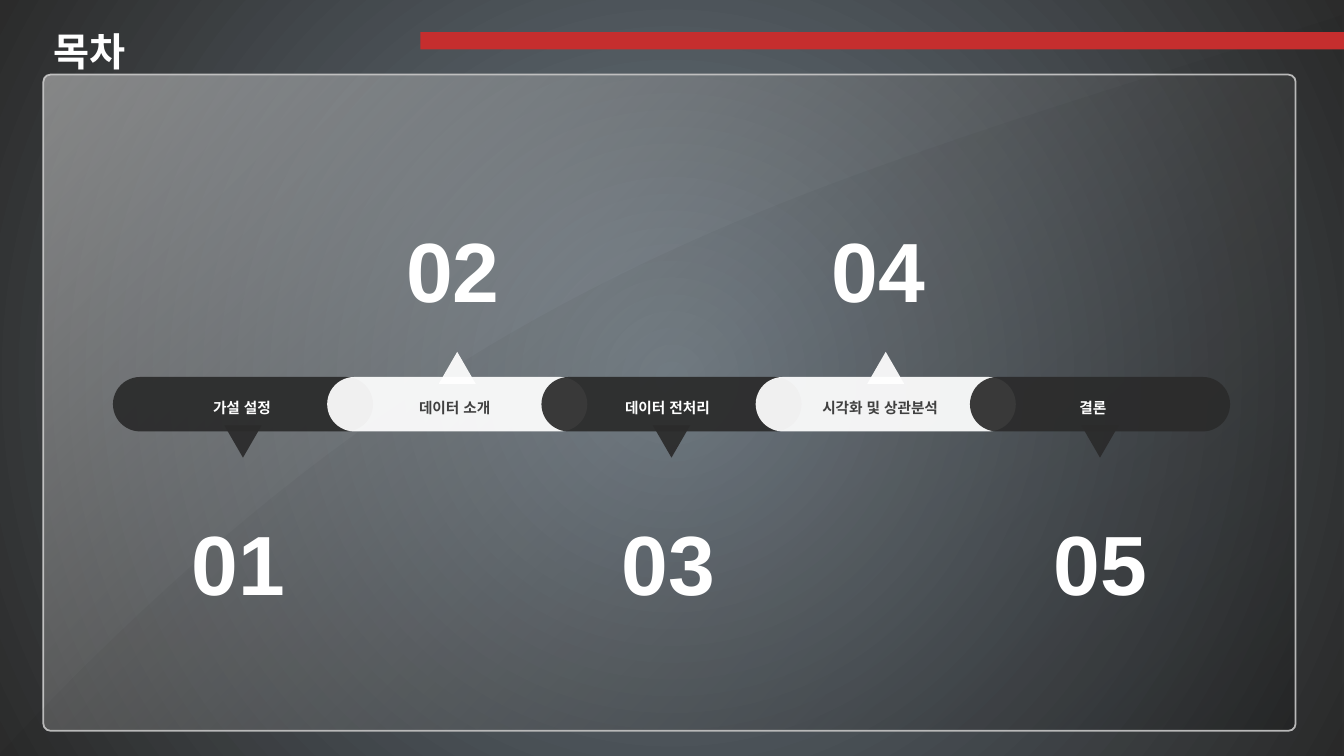
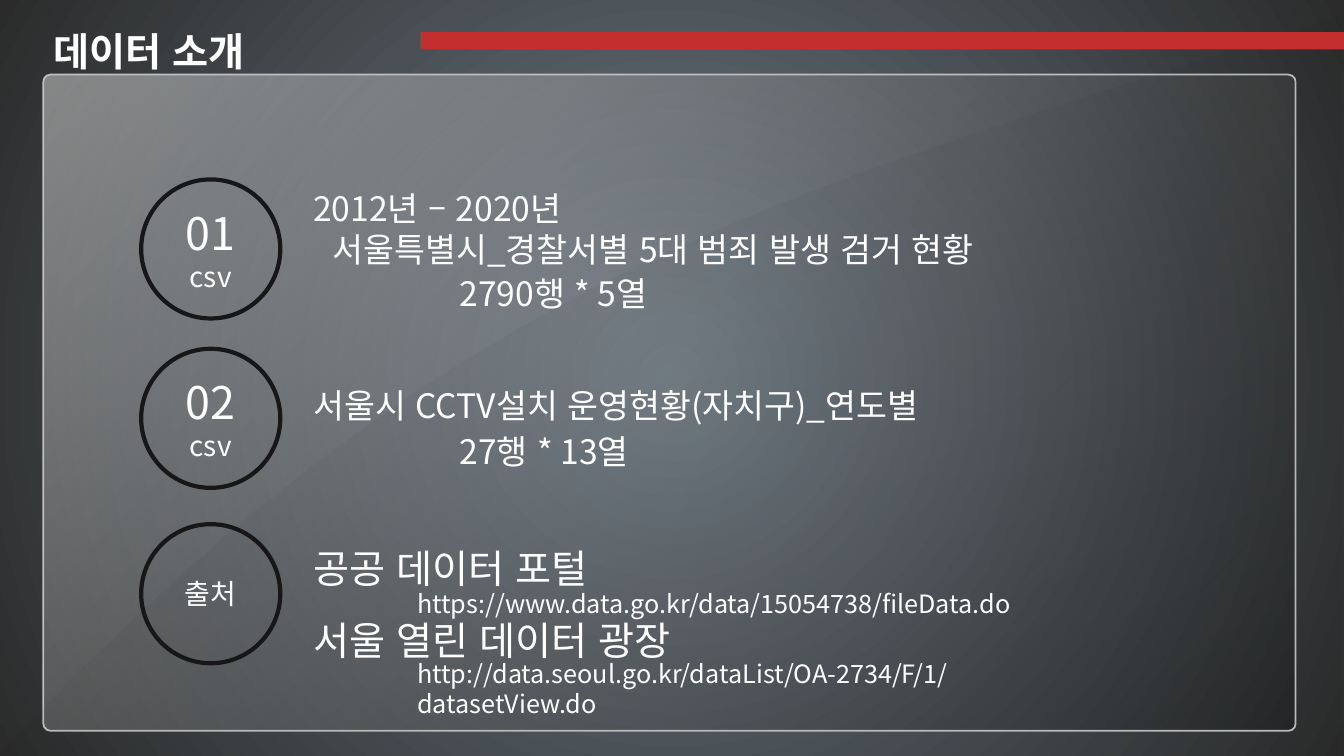
"""Build the contents slide and the data introduction slide."""
from lxml.etree import SubElement
from pptx import Presentation
from pptx.dml.color import RGBColor
from pptx.enum.lang import MSO_LANGUAGE_ID as Lang
from pptx.enum.shapes import MSO_SHAPE as Shape
from pptx.enum.text import MSO_ANCHOR as Anchor, MSO_AUTO_SIZE as AutoSize, PP_ALIGN as Align
from pptx.oxml.ns import qn
from pptx.util import Inches, Pt

WHITE = RGBColor(0xFF, 0xFF, 0xFF)
BLACK = RGBColor(0, 0, 0)
CHARCOAL = RGBColor(0x2B, 0x2B, 0x2B)
STEEL = RGBColor(0x6E, 0x7C, 0x87)
SILVER = RGBColor(0xBF, 0xBF, 0xBF)
GRAPHITE = RGBColor(0x40, 0x40, 0x40)
INK = RGBColor(0x18, 0x17, 0x17)
RED = RGBColor(0xC5, 0x2E, 0x2E)
KOREAN, LATIN = "Noto Sans CJK KR", "Arial"
WIDTH, HEIGHT = 13.33, 7.5

CONTENTS_TITLE = "목차"
STEPS = [
    ("01", "가설 설정", 1.8),
    ("02", "데이터 소개", 3.93),
    ("03", "데이터 전처리", 6.07),
    ("04", "시각화 및 상관분석", 8.15),
    ("05", "결론", 10.35),
]
DATA_TITLE = "데이터 소개"
BADGES = [
    (1.78, [("01", 32), ("csv", 20)]),
    (3.46, [("02", 32), ("csv", 20)]),
    (5.2, [("출처", 20)]),
]
NAME_LEFT, SIZE_LEFT, LINK_LEFT = 3.01, 4.46, 4.04
DETAILS = [
    (NAME_LEFT, 1.82, 9.46, 24, [("2012년 – 2020년", 0), ("서울특별시_경찰서별 5대 범죄 발생 검거 현황", 0.19)]),
    (SIZE_LEFT, 2.66, 2.79, 24, [("2790행 * 5열", 0)]),
    (NAME_LEFT, 3.77, 9.71, 24, [("서울시 CCTV설치 운영현황(자치구)_연도별", 0)]),
    (SIZE_LEFT, 4.23, 2.79, 24, [("27행 * 13열", 0)]),
    (NAME_LEFT, 5.35, 3.47, 28, [("공공 데이터 포털", 0)]),
    (LINK_LEFT, 5.79, 7.05, 18, [("https://www.data.go.kr/data/15054738/fileData.do", 0)]),
    (NAME_LEFT, 6.06, 4.55, 28, [("서울 열린 데이터 광장", 0)]),
    (LINK_LEFT, 6.48, 7.05, 18, [("http://data.seoul.go.kr/dataList/OA-2734/F/1/datasetView.do", 0)]),
]


def inches(*lengths):
    return [Inches(length) for length in lengths]


def write(paragraph, text, size, color=WHITE, face=KOREAN, bold=False, spacing=None, align=Align.LEFT):
    paragraph.alignment = align
    if spacing:
        paragraph.line_spacing = spacing
    run = paragraph.add_run()
    run.text = text
    font = run.font
    font.size, font.bold, font.name = Pt(size), bold, face
    font.color.rgb = color
    font.language_id = Lang.KOREAN
    SubElement(font._element, qn("a:ea")).set("typeface", face)


def lines_of(frame, count):
    return [frame.paragraphs[0]] + [frame.add_paragraph() for _ in range(count - 1)]


def text_frame(slide, left, top, width, height, wrap=True):
    frame = slide.shapes.add_textbox(*inches(left, top, width, height)).text_frame
    frame.word_wrap = wrap
    frame.auto_size = AutoSize.SHAPE_TO_FIT_TEXT
    return frame


def set_alpha(shape, *percents):
    for color, percent in zip(shape._element.spPr.iter(qn("a:srgbClr")), percents):
        SubElement(color, qn("a:alpha")).set("val", str(percent * 1000))


def paint(shape, color, alpha=100):
    shape.shadow.inherit = False
    shape.fill.solid()
    shape.fill.fore_color.rgb = color
    if alpha < 100:
        set_alpha(shape, alpha)
    shape.line.fill.background()


def blend(fill, first, last):
    fill.gradient()
    for stop, color in zip(fill.gradient_stops, (first, last)):
        stop.color.rgb = color


def set_background(master):
    blend(master.background.fill, STEEL, CHARCOAL)
    gradient = master._element.find(".//" + qn("a:gradFill"))
    gradient.remove(gradient.find(qn("a:lin")))
    circle = SubElement(gradient, qn("a:path"))
    circle.set("path", "circle")
    center = SubElement(circle, qn("a:fillToRect"))
    for side in "ltrb":
        center.set(side, "50000")


def curve(points, count=48):
    for step in range(count + 1):
        t = step / count
        weights = ((1 - t) ** 3, 3 * t * (1 - t) ** 2, 3 * t ** 2 * (1 - t), t ** 3)
        yield tuple(Inches(sum(w * p[axis] for w, p in zip(weights, points))) for axis in (0, 1))


def framed_slide(prs, heading):
    slide = prs.slides.add_slide(prs.slide_layouts[5])
    title = slide.shapes.title
    title.left, title.top, title.width, title.height = inches(0.43, -0.01, 8.8, 0.72)
    frame = title.text_frame
    frame.vertical_anchor = Anchor.TOP
    frame.word_wrap = True
    frame.auto_size = AutoSize.SHAPE_TO_FIT_TEXT
    write(frame.paragraphs[0], heading, 28, bold=True, spacing=1.5)

    panel = slide.shapes.add_shape(Shape.ROUNDED_RECTANGLE, *inches(0.43, 0.74, 12.42, 6.51))
    panel.adjustments[0] = 0.011
    panel.shadow.inherit = False
    blend(panel.fill, WHITE, BLACK)
    panel.fill.gradient_angle = 315
    set_alpha(panel, 42, 18)
    panel.line.color.rgb = SILVER
    panel.line.width = Pt(1.25)

    right = 13.31
    builder = slide.shapes.build_freeform(*inches(right, HEIGHT), scale=1.0)
    builder.add_line_segments(list(curve([(right, 0.15), (7.95, 1.9), (4.59, 2.54), (-0.02, HEIGHT)])))
    paint(builder.convert_to_shape(), BLACK, 3)

    band_left = 4.17
    band = slide.shapes.add_shape(Shape.RECTANGLE, *inches(band_left, 0.32, WIDTH - band_left, 0.17))
    paint(band, RED)
    return slide


def contents_slide(prs):
    slide = framed_slide(prs, CONTENTS_TITLE)
    pitch, pill_width, tip_width = 2.125, 2.58, 0.37
    for index, (number, label, number_left) in enumerate(STEPS):
        upward = index % 2 == 1
        color = WHITE if upward else CHARCOAL
        left = 1.12 + index * pitch
        pill = slide.shapes.add_shape(Shape.ROUNDED_RECTANGLE, *inches(left, 3.74, pill_width, 0.54))
        pill.adjustments[0] = 0.5
        tip_left = left + (pill_width - tip_width) / 2
        tip = slide.shapes.add_shape(
            Shape.ISOSCELES_TRIANGLE, *inches(tip_left, 3.49 if upward else 4.22, tip_width, 0.32))
        tip.rotation = 0 if upward else 180
        for part in (pill, tip):
            paint(part, color, 93)
        figure = text_frame(slide, number_left, 1.62 if upward else 4.53, 1.18, 1.62, wrap=False)
        write(figure.paragraphs[0], number, 60, face=LATIN, bold=True, spacing=1.5)
    for index, (number, label, number_left) in enumerate(STEPS):
        caption = text_frame(slide, 1.65 + index * 2.11, 3.82, 1.5, 0.33, wrap=False)
        write(caption.paragraphs[0], label, 10.5, GRAPHITE if index % 2 else WHITE,
              bold=True, spacing=1.5, align=Align.CENTER)


def data_slide(prs):
    slide = framed_slide(prs, DATA_TITLE)
    for top, rows in BADGES:
        badge = slide.shapes.add_shape(Shape.OVAL, *inches(1.4, top, 1.38, 1.38))
        badge.shadow.inherit = False
        badge.fill.background()
        badge.line.color.rgb = INK
        badge.line.width = Pt(3)
        badge.text_frame.vertical_anchor = Anchor.MIDDLE
        for paragraph, (text, size) in zip(lines_of(badge.text_frame, len(rows)), rows):
            write(paragraph, text, size, align=Align.CENTER)
    for left, top, width, size, rows in DETAILS:
        frame = text_frame(slide, left, top, width, 0.1 + len(rows) * size / 60)
        for paragraph, (text, indent) in zip(lines_of(frame, len(rows)), rows):
            if indent:
                paragraph._p.get_or_add_pPr().set("marL", str(Inches(indent)))
            write(paragraph, text, size)


def main():
    prs = Presentation()
    prs.slide_width, prs.slide_height = inches(WIDTH, HEIGHT)
    set_background(prs.slide_master)
    contents_slide(prs)
    data_slide(prs)
    prs.save("out.pptx")


if __name__ == "__main__":
    main()
